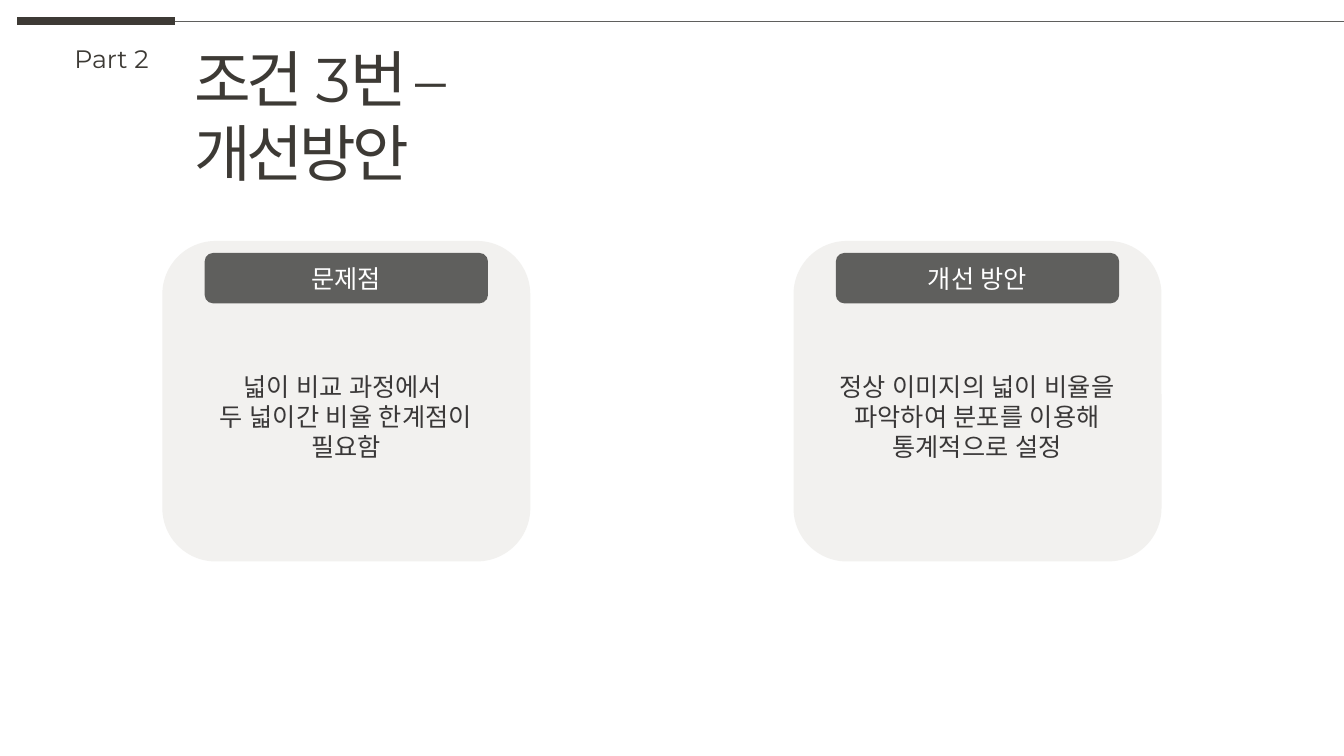
from pptx import Presentation
from pptx.dml.color import RGBColor
from pptx.enum import shapes, text
from pptx.oxml import parse_xml
from pptx.oxml.ns import nsdecls
from pptx.util import Inches, Pt

FONT = "Montserrat"
COLORS = {"ink": "3D3A35", "gray": "5F5F5D", "card": "F2F1EF",
          "body": "3A3838", "white": "FFFFFF"}
CARDS = [
    (1.61, "문제점", "넓이 비교 과정에서 \v두 넓이간 비율 한계점이\v필요함"),
    (7.87, "개선 방안", "정상 이미지의 넓이 비율을\v파악하여 분포를 이용해\v통계적으로 설정"),
]


def rgb(name):
    return RGBColor.from_string(COLORS[name])


def write(frame, words, size, color, align=text.PP_ALIGN.LEFT, track=0):
    """Fill a frame with one styled paragraph; track is letter spacing in points."""
    frame.text = words
    para = frame.paragraphs[0]
    para.alignment = align
    for run in para.runs:
        run.font.size = Pt(size)
        run.font.name = FONT
        run.font.color.rgb = rgb(color)
        props = run.font._element
        props.find("{*}latin").addnext(
            parse_xml(f'<a:ea {nsdecls("a")} typeface="{FONT}"/>'))
        if track:
            props.set("spc", str(track * 100))


def label(slide, left, top, width, height, words, size, color, wrap=True, **style):
    box = slide.shapes.add_textbox(
        Inches(left), Inches(top), Inches(width), Inches(height))
    frame = box.text_frame
    frame.word_wrap = wrap
    frame.auto_size = text.MSO_AUTO_SIZE.SHAPE_TO_FIT_TEXT
    write(frame, words, size, color, **style)


def panel(slide, left, top, width, height, fill):
    shape = slide.shapes.add_shape(
        shapes.MSO_SHAPE.ROUNDED_RECTANGLE,
        Inches(left), Inches(top), Inches(width), Inches(height))
    shape.shadow.inherit = False
    shape.fill.solid()
    shape.fill.fore_color.rgb = rgb(fill)
    shape.line.fill.background()
    return shape


def rule(slide, start, end, color, weight):
    y = Inches(0.21)
    line = slide.shapes.add_connector(
        shapes.MSO_CONNECTOR.STRAIGHT, Inches(start), y, Inches(end), y)
    line.line.color.rgb = rgb(color)
    line.line.width = Pt(weight)
    line._element.spPr.append(parse_xml(f'<a:effectLst {nsdecls("a")}/>'))


def card(slide, left, head, body):
    center = text.PP_ALIGN.CENTER
    panel(slide, left, 2.39, 3.65, 3.18, "card")
    frame = panel(slide, left + 0.42, 2.51, 2.81, 0.5, "gray").text_frame
    frame.vertical_anchor = text.MSO_ANCHOR.MIDDLE
    write(frame, head, 18, "white", center)
    label(slide, left + 0.21, 3.63, 3.22, 1.01, body, 18, "body", align=center)


def main():
    deck = Presentation()
    deck.slide_width, deck.slide_height = Inches(13.33), Inches(7.5)
    slide = deck.slides.add_slide(deck.slide_layouts[6])
    rule(slide, 0.17, 1.74, "ink", 6)
    label(slide, 1.83, 0.36, 4.61, 0.84, "조건 3번 – 개선방안", 44, "ink", track=-3)
    label(slide, 0.64, 0.38, 0.97, 0.4, "Part 2", 18, "ink", wrap=False)
    rule(slide, 1.74, 13.33, "gray", 0.5)
    for left, head, body in CARDS:
        card(slide, left, head, body)
    deck.save("out.pptx")


if __name__ == "__main__":
    main()
